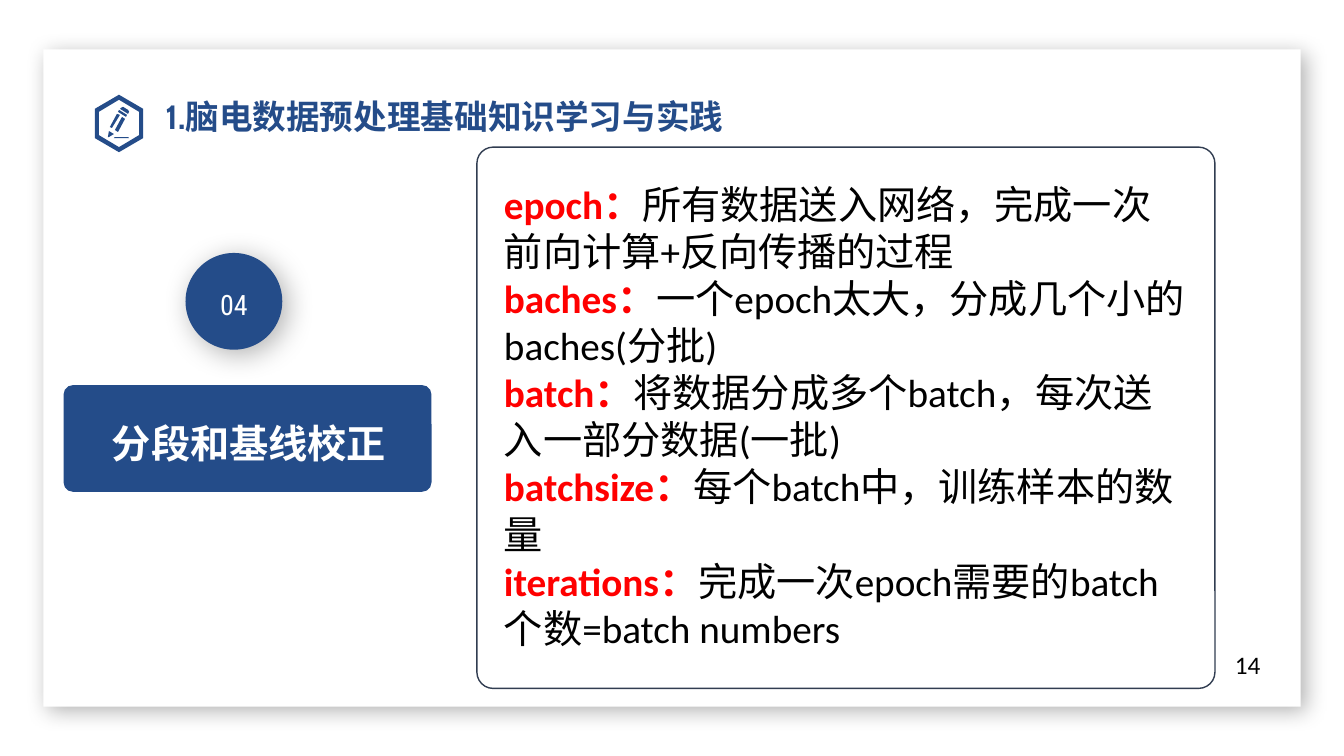
from lxml import etree
from pptx import Presentation
from pptx.dml.color import RGBColor
from pptx.enum.shapes import MSO_SHAPE
from pptx.enum.text import MSO_ANCHOR, PP_ALIGN
from pptx.oxml.ns import qn
from pptx.util import Pt

PX = 9144  # EMU per px, 100 px to the inch
BLUE = RGBColor(0x24, 0x4C, 0x89)
OUTLINE = RGBColor(0x31, 0x3D, 0x51)
RED = RGBColor(0xFF, 0x00, 0x00)
BLACK = RGBColor(0x00, 0x00, 0x00)
WHITE = RGBColor(0xFF, 0xFF, 0xFF)
RECTANGLE = MSO_SHAPE.RECTANGLE
ROUNDED = MSO_SHAPE.ROUNDED_RECTANGLE
OVAL = MSO_SHAPE.OVAL
TOP, MIDDLE = MSO_ANCHOR.TOP, MSO_ANCHOR.MIDDLE
CENTER = PP_ALIGN.CENTER
CJK_FONT = "Noto Sans CJK SC"

# Contours of the pencil badge, in px from its top left corner
BADGE_CONTOURS = [
    [(24, 0), (48, 14), (48, 43), (24, 57), (0, 43), (0, 14)],
    [(24, 5), (44, 17), (44, 40), (24, 52), (4, 40), (4, 17)],
    [(20, 42), (33, 42), (34, 43), (33, 43), (20, 43), (19, 43)],
    [(20, 35), (27, 22), (30, 24), (23, 37)],
    [(15, 32), (22, 19), (25, 20), (17, 33)],
    [(13, 42), (14, 36), (19, 39), (14, 42)],
    [(24, 15), (23, 17), (31, 22), (32, 20)],
    [(26, 13), (28, 12), (33, 15), (34, 17), (33, 19), (25, 14)],
]

DEFINITIONS = [
    ("epoch：", "所有数据送入网络，完成一次前向计算+反向传播的过程"),
    ("baches：", "一个epoch太大，分成几个小的baches(分批)"),
    ("batch：", "将数据分成多个batch，每次送入一部分数据(一批)"),
    ("batchsize：", "每个batch中，训练样本的数量"),
    ("iterations：", "完成一次epoch需要的batch个数=batch numbers"),
]


def emu(box):
    return [length * PX for length in box]


def add_panel(slide, kind, box, fill=None, line=None, corner=None):
    shape = slide.shapes.add_shape(kind, *emu(box))
    shape.shadow.inherit = False
    if fill is None:
        shape.fill.background()
    else:
        shape.fill.solid()
        shape.fill.fore_color.rgb = fill
    if line is None:
        shape.line.fill.background()
    else:
        shape.line.color.rgb = line
        shape.line.width = Pt(1)
    if corner is not None:
        shape.adjustments[0] = corner
    return shape


def add_soft_shadow(shape, blur, distance, opacity=30, angle=45):
    effects = shape.element.spPr.find(qn("a:effectLst"))
    shadow = etree.SubElement(
        effects, qn("a:outerShdw"), blurRad=str(Pt(blur)), dist=str(Pt(distance)),
        dir=str(angle * 60000), algn="tl", rotWithShape="0")
    color = etree.SubElement(shadow, qn("a:srgbClr"), val=str(BLACK))
    etree.SubElement(color, qn("a:alpha"), val=str(opacity * 1000))


def style_font(font, size, color, name, bold=False):
    font.size = Pt(size)
    font.bold = bold
    font.color.rgb = color
    font.name = name


def set_cjk_font(run):
    properties = run.font._element
    latin = properties.find(qn("a:latin"))
    east_asian = etree.Element(qn("a:ea"), typeface=CJK_FONT)
    if latin is None:
        properties.append(east_asian)
    else:
        latin.addnext(east_asian)


def add_text_box(slide, box):
    frame = slide.shapes.add_textbox(*emu(box)).text_frame
    frame.word_wrap = True
    return frame


def build_card(slide, box):
    card = add_panel(slide, RECTANGLE, box, fill=WHITE)
    add_soft_shadow(card, 15, 5)


def build_heading(slide, box, text):
    left, top, width, height = box

    # Pencil badge
    badge_left, badge_top = left, top + 12
    first, *others = BADGE_CONTOURS
    builder = slide.shapes.build_freeform(*first[0], scale=PX)
    builder.add_line_segments(first[1:], close=True)
    for contour in others:
        builder.move_to(*contour[0])
        builder.add_line_segments(contour[1:], close=True)
    badge = builder.convert_to_shape(badge_left * PX, badge_top * PX)
    badge.shadow.inherit = False
    badge.fill.solid()
    badge.fill.fore_color.rgb = BLUE
    badge.line.fill.background()

    # Title, brought in front of the card
    title = slide.shapes.title
    slide.shapes.element.append(title.element)
    title.left, title.top, title.width, title.height = emu(
        (left + 60, top, width - 60, height))
    frame = title.text_frame
    frame.text = text
    frame.word_wrap = True
    frame.vertical_anchor = TOP
    paragraph = frame.paragraphs[0]
    paragraph.alignment = PP_ALIGN.LEFT
    paragraph.line_spacing = 1.2
    style_font(paragraph.font, 24, BLUE, "Cabin", bold=True)
    set_cjk_font(paragraph.runs[0])


def build_step(slide, box, number, label):
    left, top, width, height = box

    # Number disc
    disc = add_panel(slide, OVAL, (left + 121, top, 96, 96), fill=BLUE)
    add_soft_shadow(disc, 20, 5)
    disc.text_frame.text = number
    disc.text_frame.vertical_anchor = MIDDLE
    paragraph = disc.text_frame.paragraphs[0]
    paragraph.alignment = CENTER
    paragraph.line_spacing = 1.2
    style_font(paragraph.font, 20, WHITE, "Roboto Condensed")

    # Label bar
    bar_top = top + height - 106
    add_panel(slide, ROUNDED, (left, bar_top, width, 106), fill=BLUE, corner=0.09)
    frame = add_text_box(slide, (left + 48, bar_top + 25, width - 3, 52))
    frame.margin_left = frame.margin_right = 0
    frame.margin_top = frame.margin_bottom = 0
    frame.text = label
    paragraph = frame.paragraphs[0]
    paragraph.line_spacing = 1.2
    style_font(paragraph.font, 28, WHITE, CJK_FONT, bold=True)
    set_cjk_font(paragraph.runs[0])


def build_definitions(slide, box, definitions):
    left, top, width, height = box
    add_panel(slide, ROUNDED, box, line=OUTLINE, corner=0.03)
    frame = add_text_box(slide, (left + 17, top + 28, width - 33, height - 56))
    for index, (term, meaning) in enumerate(definitions):
        paragraph = frame.paragraphs[0] if index == 0 else frame.add_paragraph()
        for text, color, bold in ((term, RED, True), (meaning, BLACK, False)):
            run = paragraph.add_run()
            run.text = text
            style_font(run.font, 28, color, "Calibri", bold)
            set_cjk_font(run)


def build_page_number(slide, box, number):
    frame = add_text_box(slide, box)
    frame.text = number
    style_font(frame.paragraphs[0].font, 18, BLACK, "Calibri")


def main():
    presentation = Presentation()
    presentation.slide_width, presentation.slide_height = emu((1333, 750))
    slide = presentation.slides.add_slide(presentation.slide_layouts[5])
    build_card(slide, (43, 49, 1247, 652))
    build_heading(slide, (94, 82, 642, 50), "1.脑电数据预处理基础知识学习与实践")
    build_step(slide, (63, 251, 365, 237), "04", "分段和基线校正")
    build_definitions(slide, (473, 146, 732, 537), DEFINITIONS)
    build_page_number(slide, (1215, 639, 59, 40), "14")
    presentation.save("out.pptx")


if __name__ == "__main__":
    main()
